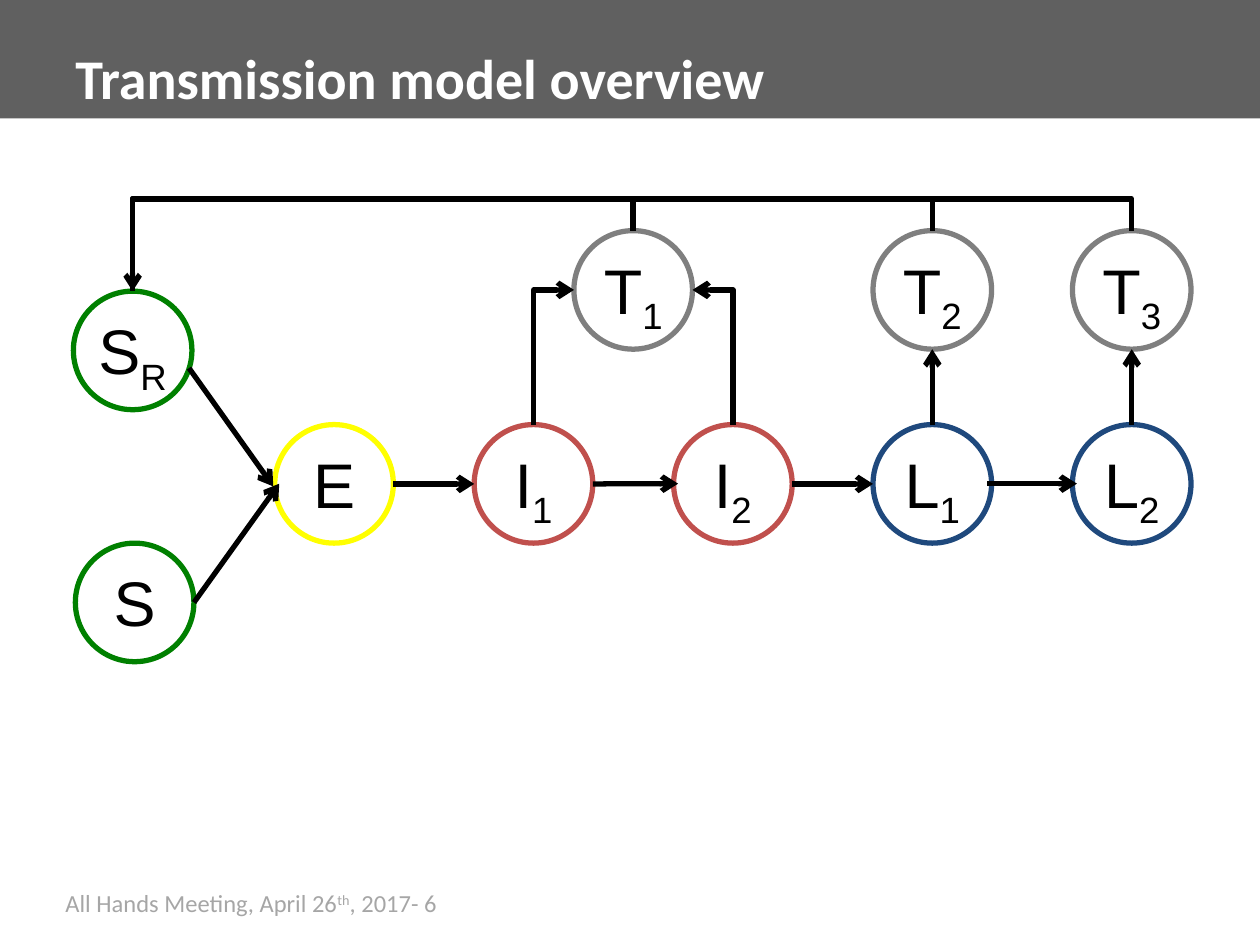
from dataclasses import dataclass
from typing import Any

from lxml.etree import SubElement
from pptx import Presentation
from pptx.dml.color import RGBColor
from pptx.enum.shapes import MSO_CONNECTOR as Link, MSO_SHAPE as Preset
from pptx.enum.text import MSO_ANCHOR as Anchor, MSO_AUTO_SIZE as Fit, PP_ALIGN as Align
from pptx.oxml.ns import qn
from pptx.util import Cm, Pt


@dataclass(frozen=True)
class Theme:
    band: str = "606060"
    title: str = "FFFFFF"
    footer: str = "A6A6A6"
    ink: str = "000000"
    susceptible: str = "008000"
    exposed: str = "FFFF00"
    infectious: str = "C0504D"
    latent: str = "1F497D"
    treated: str = "7F7F7F"
    heading_font: str = "Calibri"
    label_font: str = "Arial"
    title_size: int = 32
    label_size: int = 36
    footer_size: int = 14
    stroke: int = 3


@dataclass(frozen=True)
class Node:
    left: float
    top: float
    label: Any

    @property
    def north(self):
        return self.left + DIAMETER / 2, self.top

    @property
    def south(self):
        return self.left + DIAMETER / 2, self.top + DIAMETER

    @property
    def west(self):
        return self.left, self.top + DIAMETER / 2

    @property
    def east(self):
        return self.left + DIAMETER, self.top + DIAMETER / 2


THEME = Theme()
DIAMETER = 2.39
PITCH = 4.02
TREATED_TOP, MAIN_TOP = 0, 3.91
BUS_RISE = 0.64


def color(value):
    return RGBColor.from_string(value)


def add_text(shapes, box, parts, *, font, size, ink, bold=False,
             align=Align.LEFT, anchor=Anchor.TOP, wrap=True, fit=Fit.NONE):
    label = shapes.add_textbox(*map(Cm, box))
    frame = label.text_frame
    frame.word_wrap = wrap
    frame.auto_size = fit
    frame.vertical_anchor = anchor
    para = frame.paragraphs[0]
    para.alignment = align
    for text, baseline in parts:
        span = para.add_run()
        span.text = text
        span.font.name = font
        span.font.size = Pt(size)
        span.font.bold = bold
        span.font.color.rgb = color(ink)
        if baseline:
            span.font._element.set("baseline", str(baseline * 1000))
    return label


def add_header(page, box):
    left, top, width, height = box
    band = page.shapes.add_shape(Preset.RECTANGLE, *map(Cm, box))
    band.shadow.inherit = False
    band.fill.solid()
    band.fill.fore_color.rgb = color(THEME.band)
    band.line.fill.background()
    add_text(page.shapes, (left + 1.27, top - 0.03, width - 2.54, 3.18),
             [("Transmission model overview", 0)], font=THEME.heading_font,
             size=THEME.title_size, ink=THEME.title, bold=True, anchor=Anchor.MIDDLE)


def add_footer(page, box):
    add_text(page.shapes, box,
             [("All Hands Meeting, April 26", 0), ("th", 30), (", 2017- 6", 0)],
             font=THEME.heading_font, size=THEME.footer_size, ink=THEME.footer,
             wrap=False, fit=Fit.SHAPE_TO_FIT_TEXT)


def add_node(page, left, top, letter, index, outline):
    group = page.shapes.add_group_shape()
    circle = group.shapes.add_shape(
        Preset.OVAL, Cm(left), Cm(top), Cm(DIAMETER), Cm(DIAMETER))
    circle.shadow.inherit = False
    circle.fill.background()
    circle.line.color.rgb = color(outline)
    circle.line.width = Pt(THEME.stroke)
    parts = [(letter, 0), (index, -25)] if index else [(letter, 0)]
    label = add_text(group.shapes, (left + 0.09, top + 0.29, DIAMETER - 0.18, 1.8),
                     parts, font=THEME.label_font, size=THEME.label_size, ink=THEME.ink,
                     align=Align.CENTER, fit=Fit.SHAPE_TO_FIT_TEXT)
    return Node(left, top, label)


def add_link(page, start, end, kind=Link.STRAIGHT, arrow=True):
    link = page.shapes.add_connector(kind, *map(Cm, (*start, *end)))
    link.line.color.rgb = color(THEME.ink)
    link.line.width = Pt(THEME.stroke)
    if arrow:
        SubElement(link.line._get_or_add_ln(), qn("a:tailEnd"), type="arrow")
    SubElement(link._element.spPr, qn("a:effectLst"))
    return link


def add_elbow(page, start, end, turn, flip_across, preset, bend=None, arrow=True):
    link = add_link(page, start, end, Link.ELBOW, arrow)
    across, down = abs(end[0] - start[0]), abs(end[1] - start[1])
    link.left = Cm((start[0] + end[0] - down) / 2)
    link.top = Cm((start[1] + end[1] - across) / 2)
    link.width, link.height = Cm(down), Cm(across)
    frame = link._element.spPr.find(qn("a:xfrm"))
    frame.set("rot", str(turn * 60000))
    frame.set("flipH", "1" if flip_across else "0")
    frame.set("flipV", "1")
    shape = link._element.spPr.find(qn("a:prstGeom"))
    shape.set("prst", preset)
    if bend is not None:
        SubElement(shape.find(qn("a:avLst")), qn("a:gd"),
                   name="adj1", fmla=f"val {round(bend * 100000)}")


def add_model(page, box):
    left, top, _, _ = box

    def column(number):
        return left + 4.06 + PITCH * number

    def place(across, down, letter, index, outline):
        return add_node(page, across, top + down, letter, index, outline)

    source = place(left + 0.04, 6.3, "S", "", THEME.susceptible)
    recovered = place(left, 1.22, "S", "R", THEME.susceptible)
    stages = [("E", "", THEME.exposed), ("I", "1", THEME.infectious),
              ("I", "2", THEME.infectious), ("L", "1", THEME.latent),
              ("L", "2", THEME.latent)]
    chain = [place(column(number), MAIN_TOP, *stage) for number, stage in enumerate(stages)]
    exposed, first, second, early, late = chain
    treated = [place(column(number), TREATED_TOP, "T", index, THEME.treated)
               for number, index in ((1.5, "1"), (3, "2"), (4, "3"))]

    add_link(page, source.east, exposed.west).end_connect(exposed.label, 1)
    add_link(page, (left + 2.33, top + 2.77), (exposed.left - 0.03, exposed.west[1] + 0.05))
    for before, after in zip(chain, chain[1:]):
        link = add_link(page, before.east, after.west)
        if before is early:
            link.begin_connect(before.label, 3)
        if after in (second, late):
            link.end_connect(after.label, 1)
    for stage, care in zip((early, late), treated[1:]):
        add_link(page, stage.north, care.south)

    bend = -BUS_RISE / (recovered.top - top)
    for care in treated:
        add_elbow(page, care.north, recovered.north, 270, True,
                  "bentConnector3", bend, arrow=care is treated[1])
    add_elbow(page, first.north, treated[0].west, 90, True, "bentConnector2")
    add_elbow(page, second.north, treated[0].east, 270, False, "bentConnector2")


def main():
    deck = Presentation()
    deck.slide_width, deck.slide_height = Cm(25.4), Cm(19.05)
    page = deck.slides.add_slide(deck.slide_layouts[6])
    add_header(page, (0, 0, 25.4, 2.39))
    add_footer(page, (1.07, 17.78, 8.69, 0.86))
    add_model(page, (1.48, 4.65, 22.53, 8.69))
    deck.save("out.pptx")


if __name__ == "__main__":
    main()
